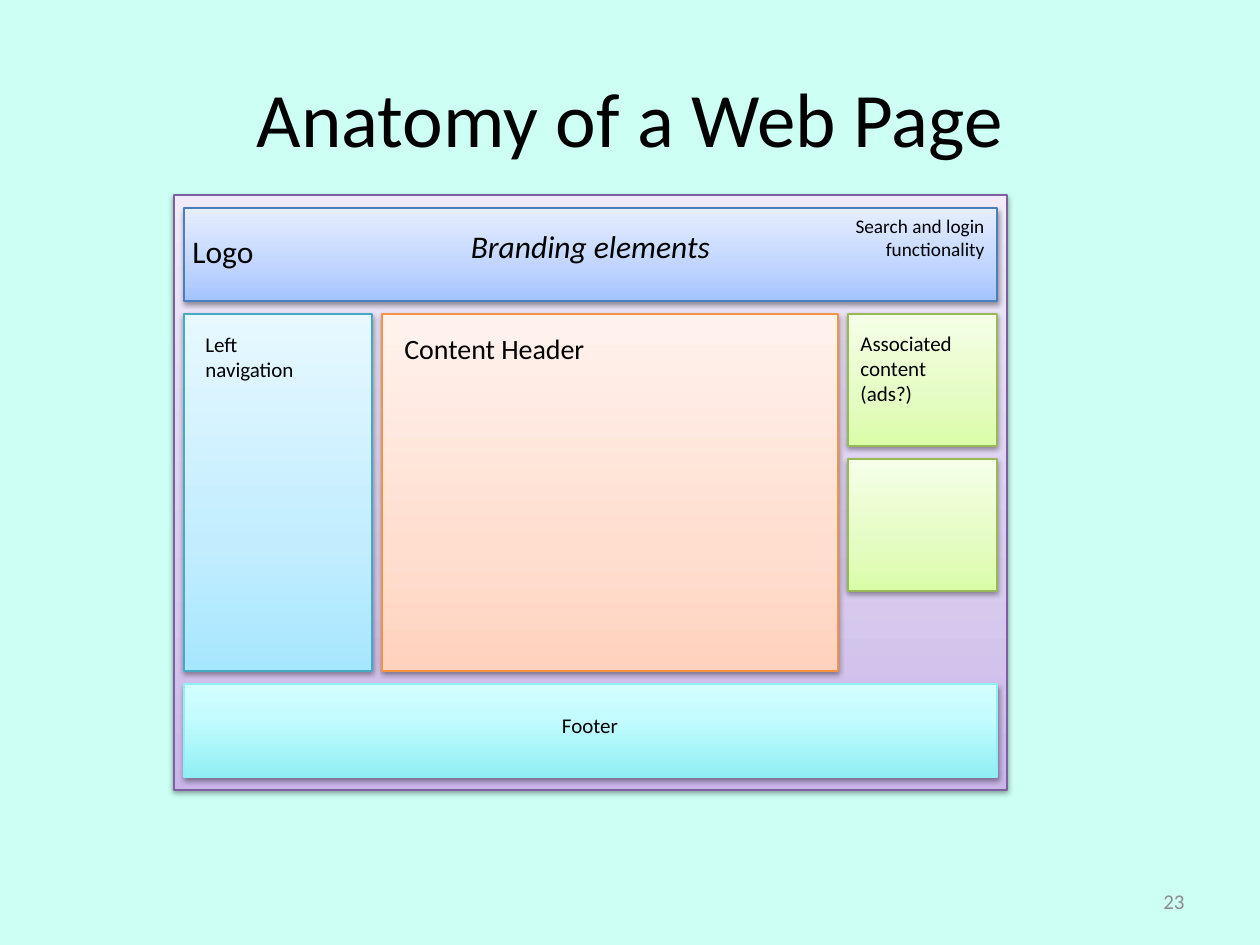
from copy import deepcopy

from lxml.etree import SubElement
from pptx import Presentation
from pptx.dml.color import RGBColor
from pptx.enum.shapes import MSO_SHAPE
from pptx.enum.text import MSO_ANCHOR, PP_ALIGN
from pptx.oxml.ns import qn
from pptx.util import Emu, Pt

PX = 914400 / 126
FONT = "Calibri"
GAP_X, GAP_Y = 10, 13
BAR_H = 93
NAV_W, ADS_W, AD_H = 188, 149, 132

BACKGROUND = RGBColor(0xCD, 0xFF, 0xF5)
BLACK = RGBColor(0, 0, 0)
GREY = RGBColor(0x8C, 0x8C, 0x8C)


def theme(line, *colors, middle=0.35):
    """Line colour and gradient stops, from bottom to top."""
    stops = zip((0, middle, 1), map(RGBColor.from_string, colors))
    return RGBColor.from_string(line), list(stops)


PURPLE = theme("7D60A0", "C9B5E8", "D8CBEE", "F0EAF9")
BLUE = theme("4B7EBC", "A4C4FF", "BFD4FF", "E6EEFF")
SKY = theme("46AAC5", "A7E6FF", "C1EDFF", "E7F8FF")
CYAN = theme("90EFF4", "90EFF4", "C5FCFF", "D3FDFF", middle=0.65)
ORANGE = theme("F69240", "FFD2BD", "FFDED0", "FFF2ED")
GREEN = theme("98B955", "DAFDA7", "E4FCC2", "F5FFE7")


def emu(*lengths):
    return [Emu(round(n * PX)) for n in lengths]


def add_shadow(sp):
    sp.shadow.inherit = False
    effects = sp._element.spPr.find(qn("a:effectLst"))
    shadow = SubElement(effects, qn("a:outerShdw"), blurRad="40000",
                        dist="20000", dir="5400000", rotWithShape="0")
    color = SubElement(shadow, qn("a:srgbClr"), val="000000")
    SubElement(color, qn("a:alpha"), val="38000")


def panel(s, box, colors):
    line, stops = colors
    sp = s.shapes.add_shape(MSO_SHAPE.RECTANGLE, *emu(*box))
    sp.fill.gradient()
    sp.fill.gradient_angle = 90
    stop_list = sp._element.spPr.find(".//" + qn("a:gsLst"))
    stop_list.append(deepcopy(stop_list[0]))
    for stop, (position, color) in zip(sp.fill.gradient_stops, stops):
        stop.position = position
        stop.color.rgb = color
    sp.line.color.rgb = line
    sp.line.width = Pt(0.75)
    add_shadow(sp)


def label(s, box, text, size, align=PP_ALIGN.LEFT, color=BLACK,
          italic=False, wrap=False, anchor=MSO_ANCHOR.TOP):
    tf = s.shapes.add_textbox(*emu(*box)).text_frame
    tf.word_wrap = wrap
    tf.vertical_anchor = anchor
    tf.text = text
    for p in tf.paragraphs:
        p.alignment = align
        for r in p.runs:
            r.font.name = FONT
            r.font.size = Pt(size)
            r.font.italic = italic
            r.font.color.rgb = color


def header(s, x, y, w, h):
    panel(s, (x, y, w, h), BLUE)
    label(s, (x - 4, y + 18, 87, 50), "Logo", 18)
    label(s, (x + (w - 267) // 2, y + 13, 267, 50), "Branding elements", 18,
          PP_ALIGN.CENTER, italic=True)
    label(s, (x + w - 155, y, 155, 59), "Search and login\nfunctionality", 11,
          PP_ALIGN.RIGHT)


def navigation(s, x, y, w, h):
    panel(s, (x, y, w, h), SKY)
    label(s, (x + 9, y + 11, 115, 63), "Left\nnavigation", 12)


def content(s, x, y, w, h):
    panel(s, (x, y, w, h), ORANGE)
    label(s, (x + 10, y + 11, 208, 47), "Content Header", 16)


def associated(s, x, y, w):
    for i in range(2):
        panel(s, (x, y + i * (AD_H + GAP_Y), w, AD_H), GREEN)
    label(s, (x, y + 10, 118, 89), "Associated\ncontent\n(ads?)", 12)


def footer(s, x, y, w, h):
    panel(s, (x, y, w, h), CYAN)
    label(s, (x + (w - 82) // 2, y + 22, 82, 38), "Footer", 12,
          PP_ALIGN.CENTER)


def web_page(s, x, y, w, h):
    panel(s, (x, y, w, h), PURPLE)
    left, top = x + GAP_X, y + GAP_Y
    inner_w = w - 2 * GAP_X
    body_y = top + BAR_H + GAP_Y
    footer_y = y + h - GAP_Y - BAR_H
    body_h = footer_y - GAP_Y - body_y
    content_x = left + NAV_W + GAP_X
    ads_x = left + inner_w - ADS_W

    header(s, left, top, inner_w, BAR_H)
    navigation(s, left, body_y, NAV_W, body_h)
    content(s, content_x, body_y, ads_x - GAP_X - content_x, body_h)
    associated(s, ads_x, body_y, ADS_W)
    footer(s, left, footer_y, inner_w, BAR_H)


def main():
    prs = Presentation()
    prs.slide_width, prs.slide_height = emu(1260, 945)
    s = prs.slides.add_slide(prs.slide_layouts[6])
    s.background.fill.solid()
    s.background.fill.fore_color.rgb = BACKGROUND

    label(s, (63, 38, 1134, 157), "Anatomy of a Web Page", 44,
          PP_ALIGN.CENTER, wrap=True, anchor=MSO_ANCHOR.MIDDLE)
    web_page(s, 174, 195, 833, 595)
    label(s, (903, 876, 294, 50), "23", 12, PP_ALIGN.RIGHT, GREY,
          wrap=True, anchor=MSO_ANCHOR.MIDDLE)
    prs.save("out.pptx")


if __name__ == "__main__":
    main()
